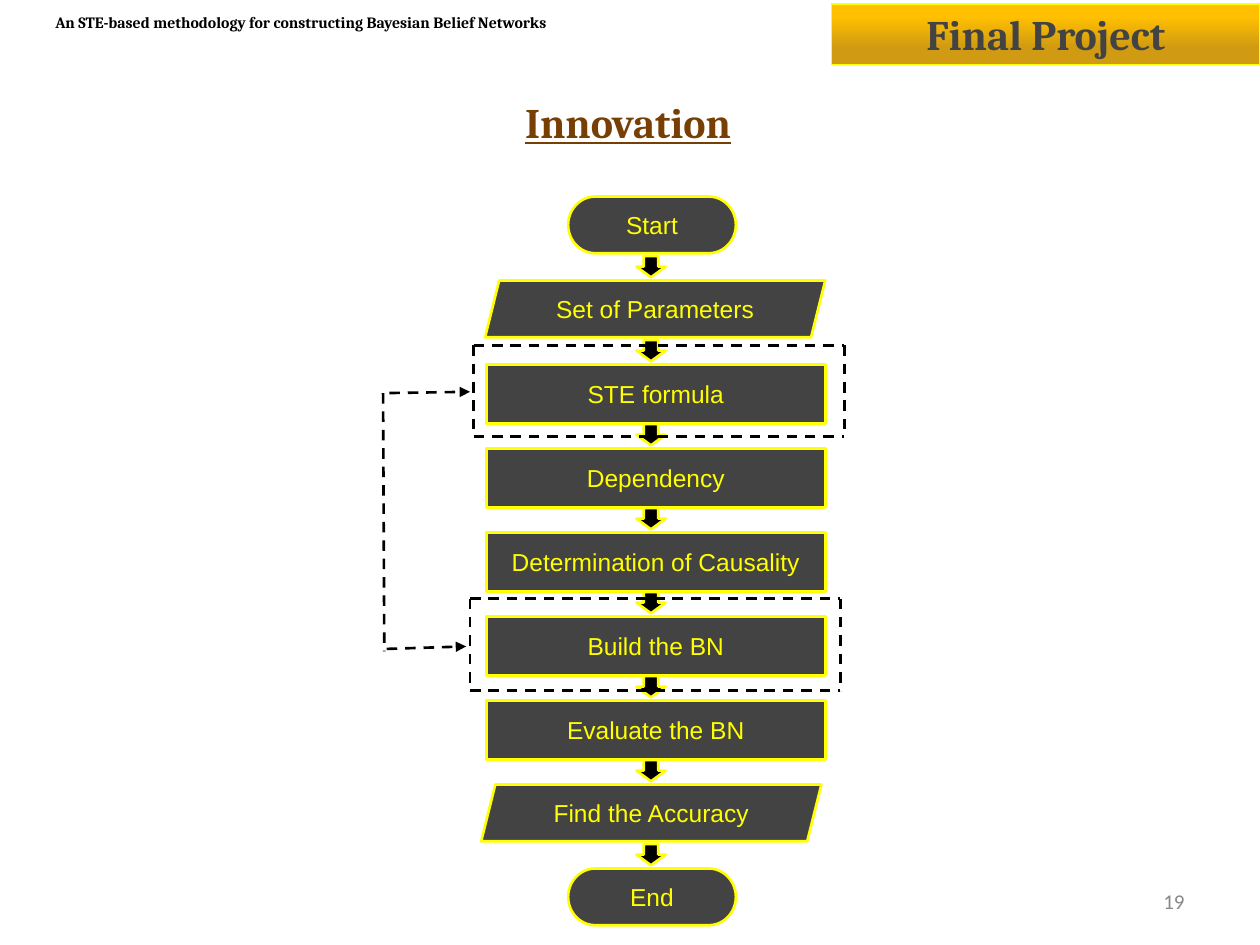
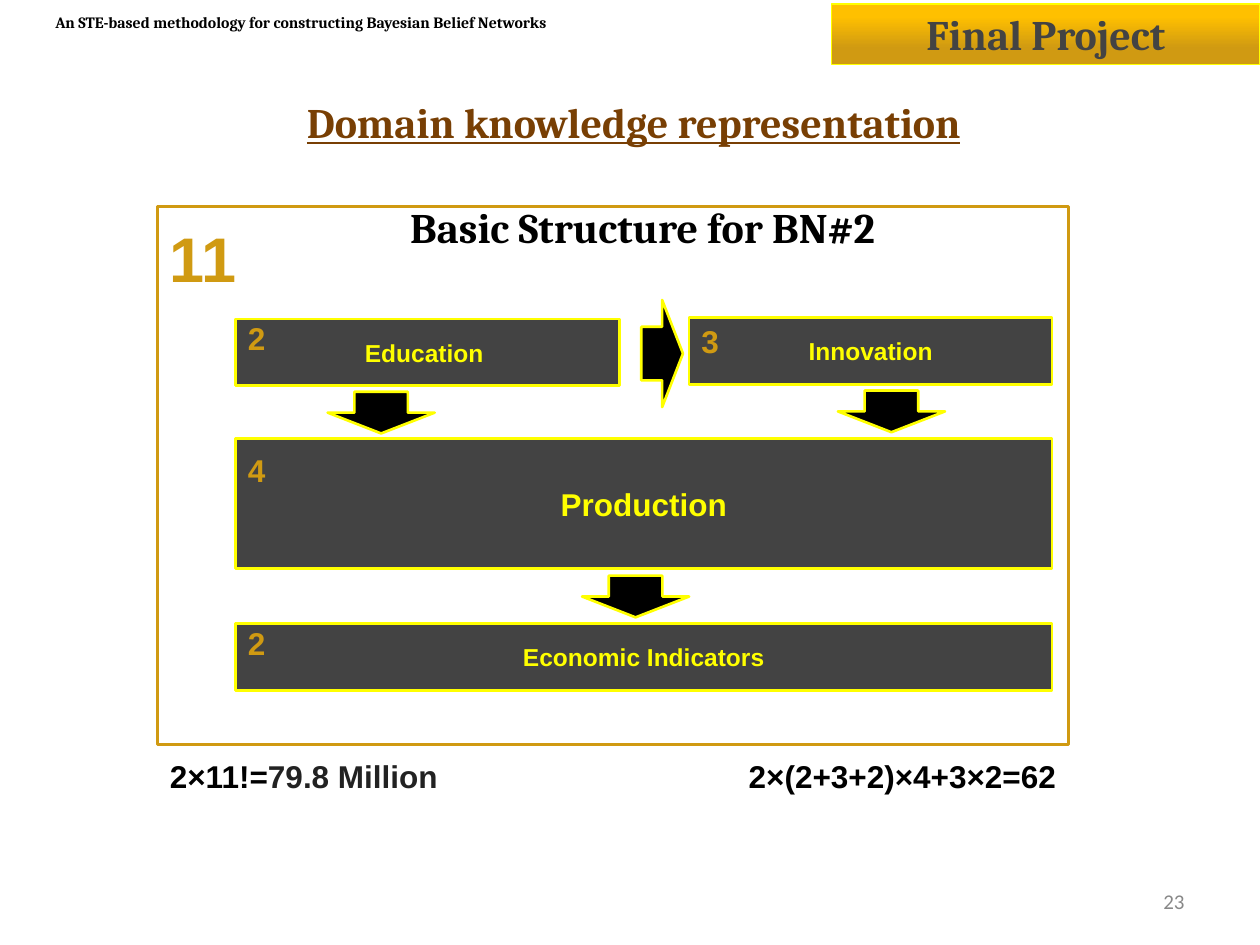
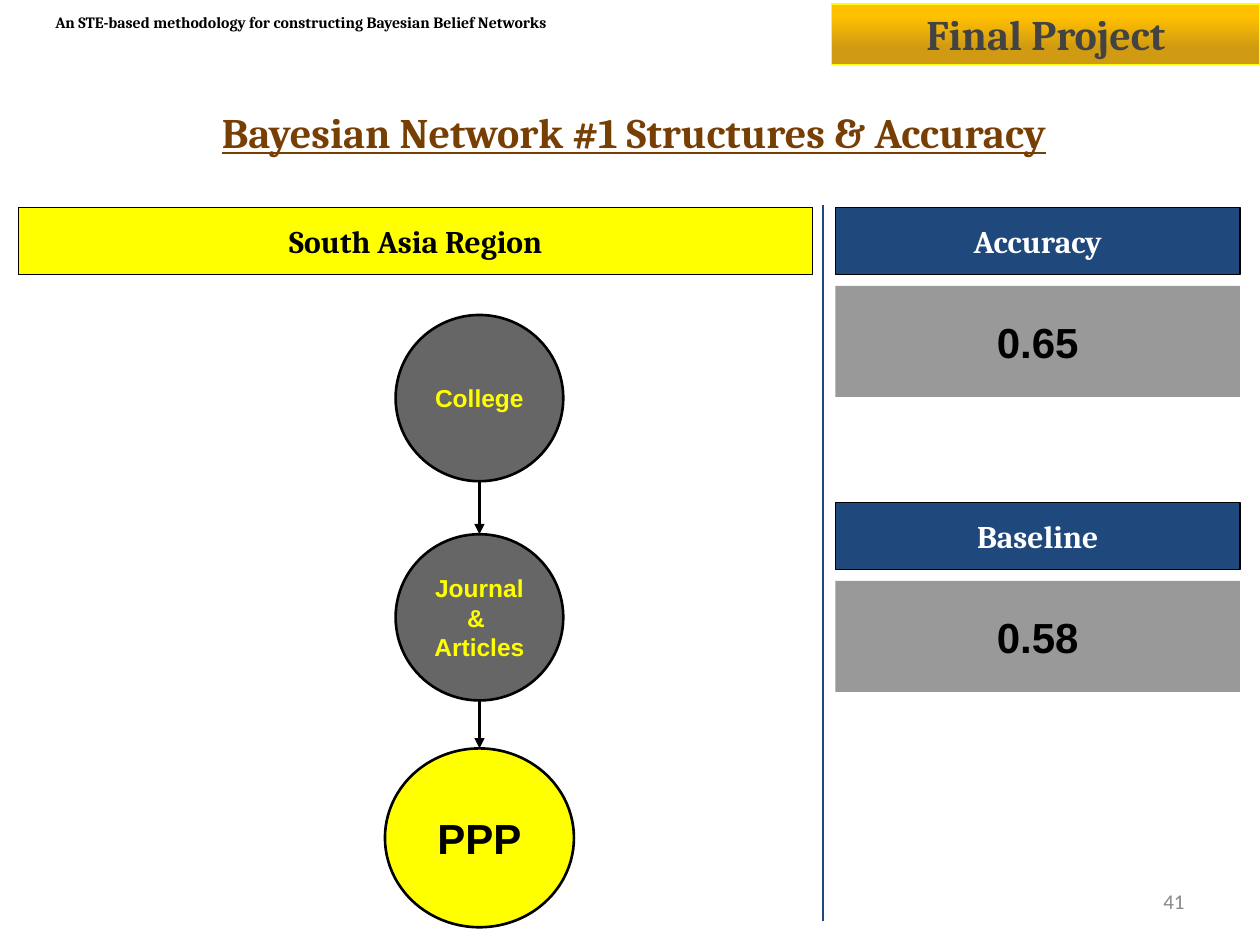
from typing import NamedTuple

import lxml.etree
import pptx
import pptx.dml.color
import pptx.enum.dml
import pptx.enum.shapes
import pptx.enum.text
import pptx.oxml.ns
import pptx.util

Pt = pptx.util.Pt
RGBColor = pptx.dml.color.RGBColor
SHAPE = pptx.enum.shapes.MSO_SHAPE
ALIGN = pptx.enum.text.PP_ALIGN
ANCHOR = pptx.enum.text.MSO_ANCHOR
qn = pptx.oxml.ns.qn

BLACK = RGBColor(0x00, 0x00, 0x00)
WHITE = RGBColor(0xFF, 0xFF, 0xFF)
YELLOW = RGBColor(0xFF, 0xFF, 0x00)
GOLD = RGBColor(0xD0, 0x9A, 0x12)
AMBER = RGBColor(0xFF, 0xC0, 0x00)
BROWN = RGBColor(0x78, 0x3F, 0x04)
NAVY = RGBColor(0x1F, 0x49, 0x7D)
CHARCOAL = RGBColor(0x43, 0x43, 0x43)
INK = RGBColor(0x22, 0x22, 0x22)
DARK_GREY = RGBColor(0x66, 0x66, 0x66)
NUMBER_GREY = RGBColor(0x88, 0x88, 0x88)
LIGHT_GREY = RGBColor(0x99, 0x99, 0x99)


class Face(NamedTuple):
    font: str
    size: int
    color: RGBColor
    bold: bool = True
    underline: bool = False


TITLE = Face("Cambria", 24, BROWN, underline=True)
BAND = Face("Cambria", 24, CHARCOAL)
CAPTION = Face("Cambria", 9, BLACK)
PAGE_NUMBER = Face("Calibri", 12, NUMBER_GREY, bold=False)
STEP = Face("Arial", 14, YELLOW, bold=False)
NODE = Face("Arial", 14, YELLOW)
COUNT = Face("Arial", 18, GOLD)
FORMULA = Face("Arial", 18, BLACK)
VALUE = Face("Arial", 24, BLACK)

STEP_PITCH = 48


def write(box, text, face, align=ALIGN.CENTER, anchor=ANCHOR.MIDDLE):
    """Fill a shape with text, one paragraph for each line."""
    frame = box.text_frame
    frame.word_wrap = True
    frame.auto_size = pptx.enum.text.MSO_AUTO_SIZE.NONE
    frame.vertical_anchor = anchor
    frame.margin_left = frame.margin_right = Pt(7.2)
    frame.margin_top = frame.margin_bottom = Pt(7.2)
    frame.text = text
    for para in frame.paragraphs:
        para.alignment = align
        para.font.name = face.font
        para.font.size = Pt(face.size)
        para.font.color.rgb = face.color
        para.font.bold = face.bold
        para.font.underline = face.underline


def add_text(page, place, text, face, align=ALIGN.LEFT, anchor=ANCHOR.MIDDLE):
    box = page.shapes.add_textbox(*map(Pt, place))
    write(box, text, face, align, anchor)
    return box


def add_block(page, preset, place, fill=None, line=None, width=1.5):
    block = page.shapes.add_shape(preset, *map(Pt, place))
    block.shadow.inherit = False
    if fill is None:
        block.fill.background()
    else:
        block.fill.solid()
        block.fill.fore_color.rgb = fill
    if line is None:
        block.line.fill.background()
    else:
        block.line.color.rgb = line
        block.line.width = Pt(width)
    return block


def add_node(page, preset, place, text, face):
    write(add_block(page, preset, place, CHARCOAL, YELLOW), text, face)


def add_block_arrow(page, left, top, width, height):
    return add_block(page, SHAPE.DOWN_ARROW, (left, top, width, height), BLACK, YELLOW)


def add_line(page, start, end, color=BLACK, dashed=False, arrow=False):
    line = page.shapes.add_connector(
        pptx.enum.shapes.MSO_CONNECTOR.STRAIGHT, *map(Pt, start + end))
    line.line.color.rgb = color
    line.line.width = Pt(1.5)
    if dashed:
        line.line.dash_style = pptx.enum.dml.MSO_LINE.DASH
    properties = line.element.spPr
    if arrow:
        outline = properties.find(qn("a:ln"))
        lxml.etree.SubElement(outline, qn("a:tailEnd"), type="triangle")
    lxml.etree.SubElement(properties, qn("a:effectLst"))


def add_dashed_frame(page, left, top, width, height):
    right, bottom = left + width, top + height
    corners = [(left, top), (right, top), (right, bottom), (left, bottom)]
    for start, end in zip(corners, corners[1:] + corners[:1]):
        # Dashes run rightwards and downwards on every side.
        add_line(page, min(start, end), max(start, end), dashed=True)


def add_page(deck, title, number, title_left=6.5, title_top=50.4):
    """Add a slide with the title, band, caption and number that all share."""
    page = deck.slides.add_slide(deck.slide_layouts[5])
    heading = page.shapes.title
    heading.left, heading.top = Pt(title_left), Pt(title_top)
    heading.width, heading.height = Pt(717.8 - title_left), Pt(38.2)
    write(heading, title, TITLE)

    add_text(page, (24.5, 5, 440.6, 15.8),
             "An STE-based methodology for constructing Bayesian Belief Networks",
             CAPTION)
    band = add_block(page, SHAPE.RECTANGLE, (475.2, 2.2, 244.8, 34.6),
                     GOLD, YELLOW, 0.75)
    band.fill.gradient()
    band.fill.gradient_angle = 90
    stops = ((0.27, GOLD), (0.79, AMBER))
    for stop, (position, color) in zip(band.fill.gradient_stops, stops):
        stop.position = position
        stop.color.rgb = color
    write(band, "Final Project", BAND)
    add_text(page, (516.2, 500.4, 167.8, 28.8), str(number), PAGE_NUMBER, ALIGN.RIGHT)
    return page


def build_innovation(deck):
    page = add_page(deck, "Innovation", 19, title_left=0)
    terminator = (SHAPE.FLOWCHART_TERMINATOR, 324.7, 95.8, 32.4)
    process = (SHAPE.RECTANGLE, 277.9, 193.7, 33.8)
    first_data = (SHAPE.PARALLELOGRAM, 277.2, 194.4, 32.4)
    last_data = (SHAPE.PARALLELOGRAM, 275, 194.4, 32.4)
    steps = [
        ("Start", terminator),
        ("Set of Parameters", first_data),
        ("STE formula", process),
        ("Dependency", process),
        ("Determination of Causality", process),
        ("Build the BN", process),
        ("Evaluate the BN", process),
        ("Find the Accuracy", last_data),
        ("End", terminator),
    ]
    for index, (text, (preset, left, width, height)) in enumerate(steps):
        top = 112.3 + index * STEP_PITCH
        if index:
            add_block_arrow(page, 363.7, top - 14, 16.6, 12.2)
        add_node(page, preset, (left, top, width, height), text, STEP)

    add_dashed_frame(page, 270.7, 197.3, 211.7, 52.3)
    add_dashed_frame(page, 268.6, 342, 211.7, 52.6)
    add_line(page, (218.9, 224.6), (219.6, 372.2), dashed=True)
    add_line(page, (221, 370.8), (266.4, 369.4), dashed=True, arrow=True)
    add_line(page, (222.5, 224.6), (268.6, 223.9), dashed=True, arrow=True)


def build_domain_knowledge(deck):
    page = add_page(deck, "Domain knowledge representation", 23)
    frame = add_block(page, SHAPE.RECTANGLE, (90, 118.1, 520.6, 307.4), line=GOLD)
    write(frame, "11", COUNT._replace(size=36), ALIGN.LEFT, ANCHOR.TOP)
    add_text(page, (176.4, 105.8, 381.6, 47.5), "Basic Structure for BN#2",
             TITLE._replace(color=BLACK, underline=False), ALIGN.CENTER)

    groups = [
        ("Education ", 14, (134.6, 182.2, 219.6, 38.2), "2", 175),
        ("Innovation", 14, (393.8, 181.4, 207.4, 38.2), "3", 177.1),
        ("Production", 18, (134.6, 250.6, 466.6, 74.2), "4", 250.6),
        ("Economic Indicators", 14, (134.6, 356.4, 466.6, 38.2), "2", 349.2),
    ]
    for text, size, place, count, count_top in groups:
        add_node(page, SHAPE.RECTANGLE, place, text, NODE._replace(size=size))
        add_text(page, (place[0], count_top, 64.8, 38.2), count, COUNT,
                 anchor=ANCHOR.TOP)

    for left, top in ((187.2, 223.9), (478.8, 223.2), (332.6, 329)):
        add_block_arrow(page, left, top, 61.2, 23.8)
    add_block_arrow(page, 347.8, 190.1, 61.2, 23.8).rotation = 270

    orderings = add_text(page, (90, 425.5, 259.2, 33.8), "2×11!=", FORMULA,
                         anchor=ANCHOR.TOP)
    span = orderings.text_frame.paragraphs[0].add_run()
    span.text = "79.8 Million"
    span.font.color.rgb = INK
    add_text(page, (349.2, 425.5, 261.4, 33.8), "2×(2+3+2)×4+3×2=62", FORMULA,
             ALIGN.RIGHT, ANCHOR.TOP)


def add_heading_bar(page, place, text, fill, color):
    bar = add_block(page, SHAPE.RECTANGLE, place, fill, BLACK, 0.75)
    write(bar, text, Face("Cambria", 18, color))


def build_accuracy(deck):
    page = add_page(deck, "Bayesian Network #1 Structures & Accuracy", 41,
                    title_top=56.2)
    add_heading_bar(page, (10.8, 118.8, 453.6, 38.2), "South Asia Region",
                    YELLOW, BLACK)
    add_line(page, (470.2, 117.4), (470.2, 526.3), NAVY)

    circles = [
        ("College", (226.1, 180, 95.8, 95), DARK_GREY, NODE),
        ("Journal \n& \nArticles", (226.1, 305.3, 95.8, 95), DARK_GREY, NODE),
        ("PPP", (220, 427.7, 108, 102.2), YELLOW, VALUE),
    ]
    for text, place, fill, face in circles:
        write(add_block(page, SHAPE.OVAL, place, fill, BLACK), text, face)
    for (_, upper, *_), (_, lower, *_) in zip(circles, circles[1:]):
        center = upper[0] + upper[2] / 2
        add_line(page, (center, upper[1] + upper[3]), (center, lower[1]), arrow=True)

    for label, value, top in (("Accuracy", "0.65", 118.8), ("Baseline", "0.58", 287.3)):
        add_heading_bar(page, (477.4, top, 231.1, 38.2), label, NAVY, WHITE)
        panel = add_block(page, SHAPE.RECTANGLE, (477.4, top + 44.6, 231.1, 63.4),
                          LIGHT_GREY)
        write(panel, value, VALUE)


def main():
    deck = pptx.Presentation()
    deck.slide_width, deck.slide_height = Pt(720), Pt(540)
    build_innovation(deck)
    build_domain_knowledge(deck)
    build_accuracy(deck)
    deck.save("out.pptx")


if __name__ == "__main__":
    main()
